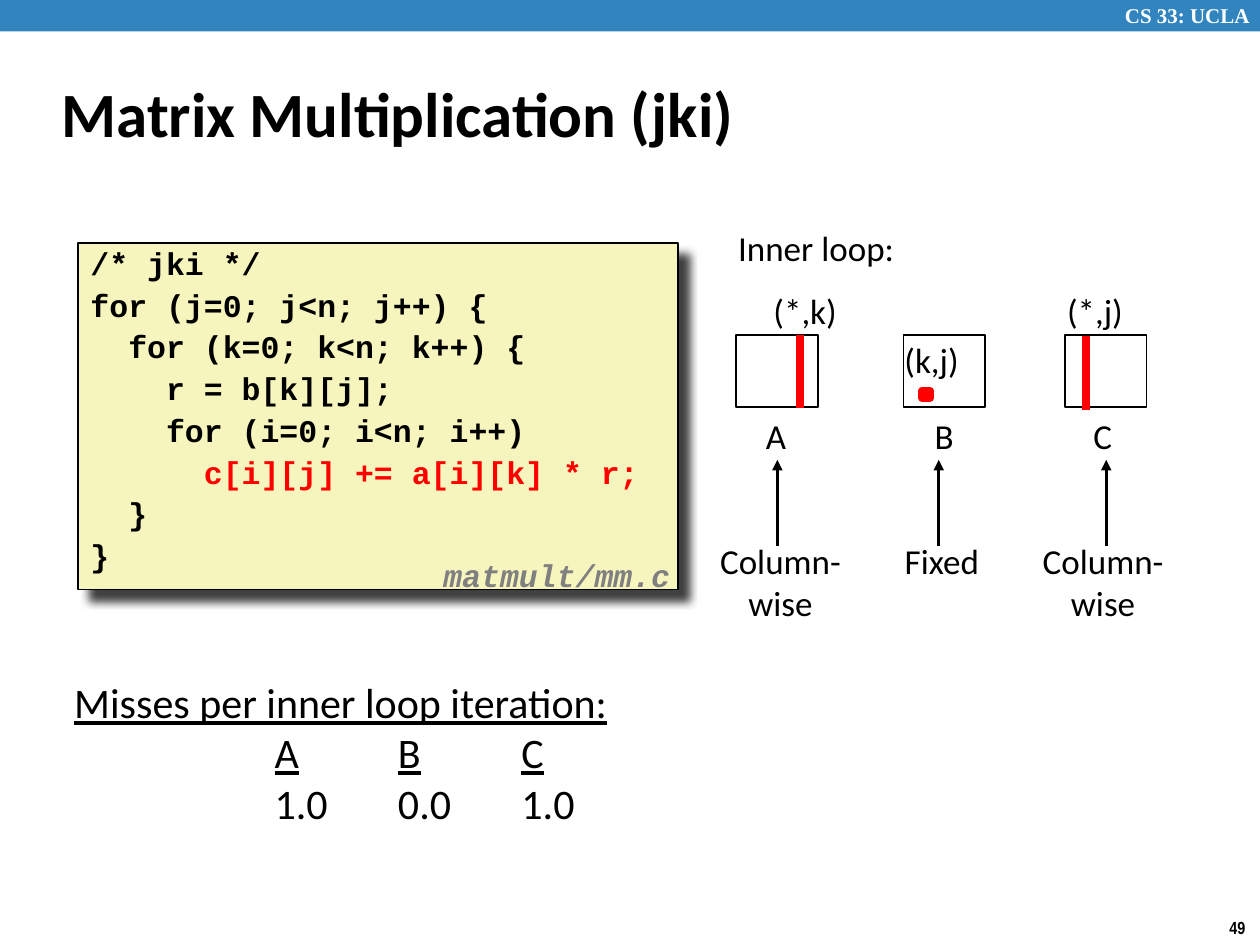
import pptx
import pptx.dml.color
import pptx.enum.shapes
import pptx.enum.text
import pptx.oxml
import pptx.oxml.ns
import pptx.util

Inches = pptx.util.Inches
Pt = pptx.util.Pt
ALIGN = pptx.enum.text.PP_ALIGN
ANCHOR = pptx.enum.text.MSO_ANCHOR
BLACK, RED, WHITE = "000000", "FF0000", "FFFFFF"
NAMESPACE = pptx.oxml.ns.nsdecls("a")


def color(value):
    """Turn a hex string into a colour."""
    return pptx.dml.color.RGBColor.from_string(value)


class Page:
    """Hold the text style and the current slide, and draw its elements."""

    def __init__(self, deck):
        self.slide = deck.slides.add_slide(deck.slide_layouts[6])
        self.style = {"size": 20, "name": "Calibri", "tone": BLACK,
                      "bold": False, "italic": False, "underline": False}

    def span(self, para, text, **changes):
        style = {**self.style, **changes}
        font = para.add_run().font
        para.runs[-1].text = text
        font.size = Pt(style["size"])
        font.name = style["name"]
        font.color.rgb = color(style["tone"])
        font.bold = style["bold"]
        font.italic = style["italic"]
        font.underline = style["underline"]

    def paragraphs(self, frame, count):
        return [frame.paragraphs[0]] + [frame.add_paragraph() for _ in range(count - 1)]

    def text(self, left, top, width, height, lines=(), wrap=False,
             align=ALIGN.LEFT, anchor=ANCHOR.TOP, **changes):
        box = self.slide.shapes.add_textbox(
            Inches(left), Inches(top), Inches(width), Inches(height))
        frame = box.text_frame
        frame.word_wrap = wrap
        frame.vertical_anchor = anchor
        for para, line in zip(self.paragraphs(frame, len(lines)), lines):
            para.alignment = align
            self.span(para, line, **changes)
        return frame

    def rectangle(self, left, top, width, height, fill, line=None, weight=1):
        box = self.slide.shapes.add_shape(
            pptx.enum.shapes.MSO_SHAPE.RECTANGLE,
            Inches(left), Inches(top), Inches(width), Inches(height))
        box.shadow.inherit = False
        box.fill.solid()
        box.fill.fore_color.rgb = color(fill)
        if line:
            box.line.color.rgb = color(line)
            box.line.width = Pt(weight)
        else:
            box.line.fill.background()
        return box

    def upward_line(self, x, bottom, top, tone, weight, arrow=False):
        line = self.slide.shapes.add_connector(
            pptx.enum.shapes.MSO_CONNECTOR.STRAIGHT,
            Inches(x), Inches(bottom), Inches(x), Inches(top))
        line.line.color.rgb = color(tone)
        line.line.width = Pt(weight)
        if arrow:
            line.line._get_or_add_ln().append(
                pptx.oxml.parse_xml(f'<a:tailEnd {NAMESPACE} type="triangle"/>'))
        line._element.spPr.append(pptx.oxml.parse_xml(f"<a:effectLst {NAMESPACE}/>"))

    def code(self, left, top, width, height, lines, highlight):
        box = self.rectangle(left, top, width, height, "F6F5BD", BLACK)
        box._element.spPr.find(pptx.oxml.ns.qn("a:effectLst")).append(
            pptx.oxml.parse_xml(
                f'<a:outerShdw {NAMESPACE} blurRad="{Pt(5)}" dist="{Pt(8.5)}" '
                f'dir="2700000" algn="tl" rotWithShape="0"><a:srgbClr val="{BLACK}">'
                '<a:alpha val="75000"/></a:srgbClr></a:outerShdw>'))
        frame = box.text_frame
        frame.word_wrap = True
        frame.vertical_anchor = ANCHOR.TOP
        frame.margin_top = Inches(0.1)
        for index, (para, line) in enumerate(zip(self.paragraphs(frame, len(lines)), lines)):
            para.alignment = ALIGN.LEFT
            para.line_spacing = 0.65
            if index:
                para.space_before = Pt(9.8)
            self.span(para, line, size=18, name="Courier New", bold=True,
                      tone=RED if index == highlight else BLACK)

    def misses(self, left, top, width, height, heading, names, values, stops):
        frame = self.text(left, top, width, height, [heading], wrap=True,
                          size=24, underline=True)
        for cells, underline in ((names, True), (values, False)):
            para = frame.add_paragraph()
            tabs = "".join(f'<a:tab pos="{Inches(stop)}" algn="l"/>' for stop in stops)
            para._p.get_or_add_pPr().append(
                pptx.oxml.parse_xml(f"<a:tabLst {NAMESPACE}>{tabs}</a:tabLst>"))
            for cell in cells:
                self.span(para, "\t", size=24)
                self.span(para, cell, size=24, underline=underline)


def main():
    deck = pptx.Presentation()
    deck.slide_width, deck.slide_height = Inches(10), Inches(7.5)
    page = Page(deck)

    page.rectangle(0, 0, 10, 0.25, "3284BF")
    page.text(8.83, -0.03, 1.24, 0.3, ["CS 33: UCLA"], size=12,
              name="Times New Roman", tone=WHITE, bold=True)
    page.text(9.66, 7.23, 0.34, 0.27, ["49"], size=10, name="Arial Narrow", bold=True)
    page.text(0.39, 0.48, 8.3, 0.83, ["Matrix Multiplication (jki)"], wrap=True,
              anchor=ANCHOR.MIDDLE, size=36, bold=True)

    code_lines = [
        "/* jki */",
        "for (j=0; j<n; j++) {",
        "  for (k=0; k<n; k++) {",
        "    r = b[k][j];",
        "    for (i=0; i<n; i++)",
        "      c[i][j] += a[i][k] * r;",
        "  }",
        "}",
    ]
    page.code(0.62, 1.93, 4.76, 2.75, code_lines, highlight=5)
    page.text(3.42, 4.36, 2.08, 0.39, ["matmult/mm.c"], size=18,
              name="Courier New", tone="808080", bold=True, italic=True)

    page.text(5.76, 1.75, 1.45, 0.43, ["Inner loop:"])
    matrices = [
        ("A", 5.84, 5.98, 6.17, 5.61, 1.17, ["Column-", "wise"]),
        ("B", 7.17, 7.32, 7.45, 7.08, 0.79, ["Fixed"]),
        ("C", 8.45, 8.58, 8.78, 8.17, 1.17, ["Column-", "wise"]),
    ]
    for name, left, name_left, arrow_x, access_left, access_width, access in matrices:
        page.rectangle(left, 2.66, 0.65, 0.57, WHITE, BLACK)
        page.text(name_left, 3.24, 0.36, 0.43, [name])
        page.text(access_left, 4.23, access_width, 0.1 + 0.33 * len(access),
                  access, align=ALIGN.CENTER)
        page.upward_line(arrow_x, 4.33, 3.65, BLACK, 2, arrow=True)

    for label, left, top, width in (
            ("(*,k)", 6.04, 2.25, 0.71), ("(k,j)", 7.08, 2.64, 0.63),
            ("(*,j)", 8.37, 2.25, 0.65)):
        page.text(left, top, width, 0.43, [label])
    page.rectangle(7.32, 3.1, 0.06, 0.06, RED, RED, 4.5)
    for column_x, bottom in ((6.35, 3.24), (8.62, 3.25)):
        page.upward_line(column_x, bottom, bottom - 0.58, RED, 4.5)

    page.misses(0.49, 5.32, 6.01, 1.34, "Misses per inner loop iteration:",
                ["A", "B", "C"], ["1.0", "0.0", "1.0"], [1.59, 2.57, 3.55])
    deck.save("out.pptx")


if __name__ == "__main__":
    main()
